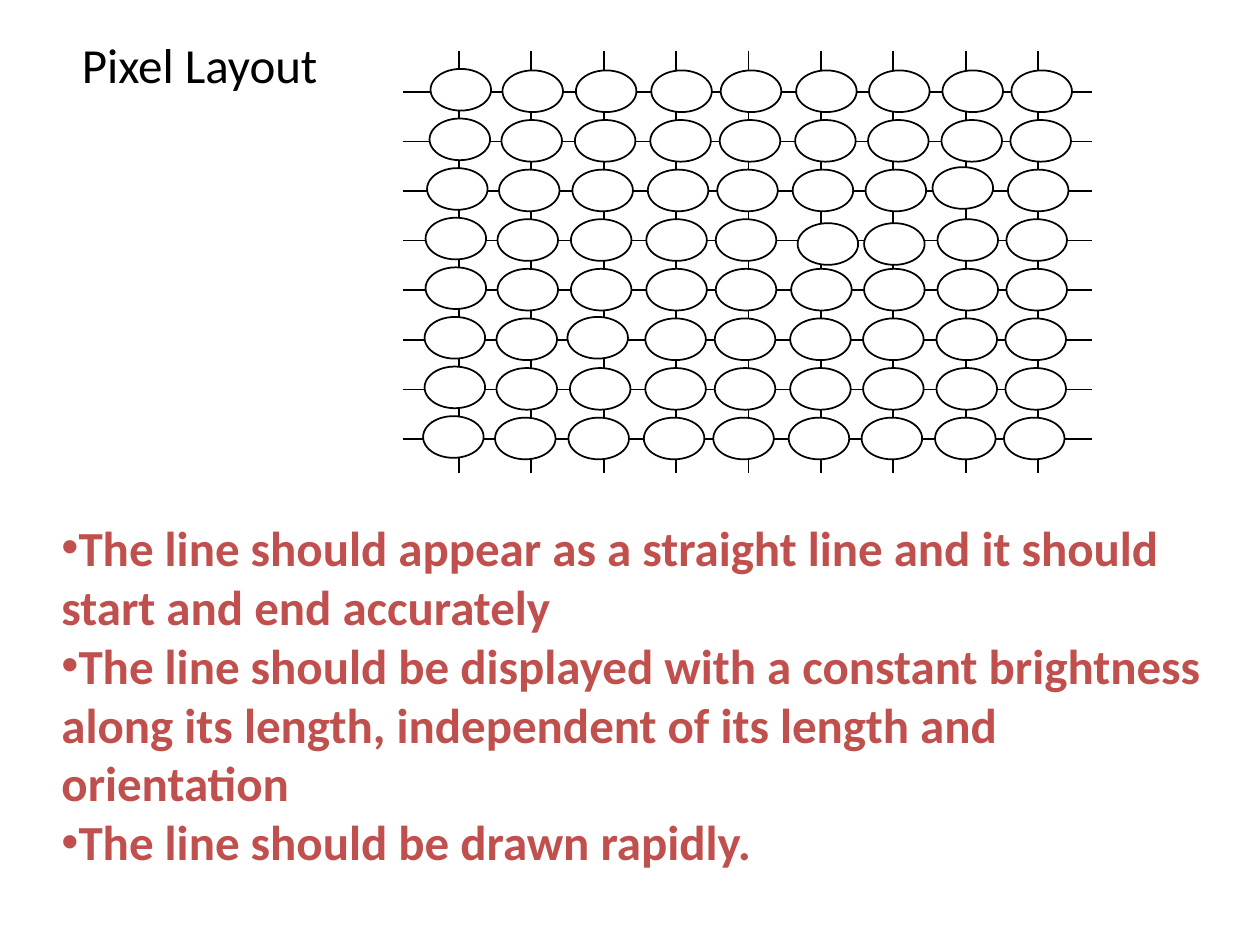
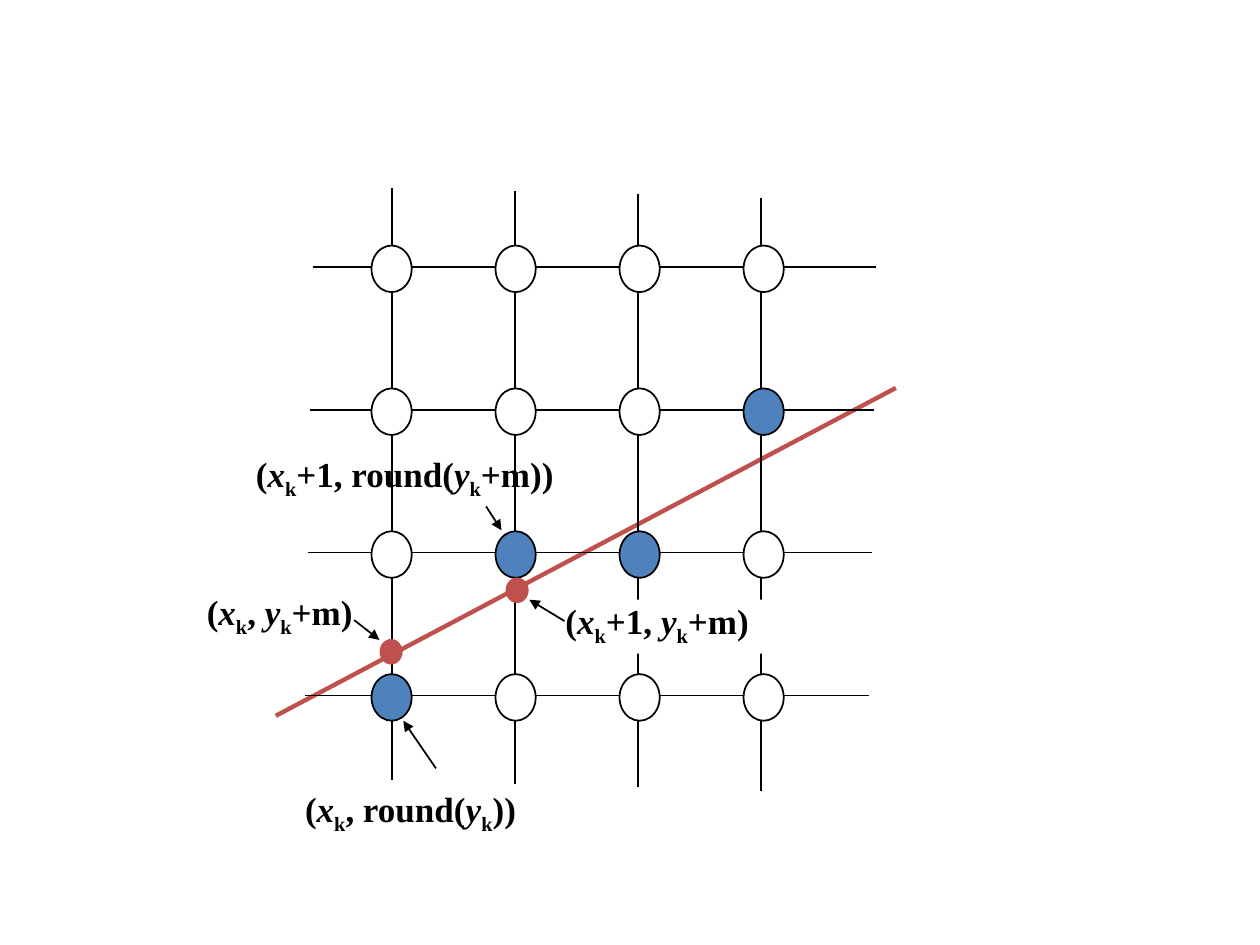
"""Build two slides on pixel grids and line drawing."""
from pptx import Presentation
from pptx.dml.color import RGBColor
from pptx.enum.shapes import MSO_CONNECTOR, MSO_SHAPE
from pptx.oxml.ns import qn
from pptx.util import Cm, Pt
from lxml.etree import SubElement

BLACK = RGBColor(0x00, 0x00, 0x00)
WHITE = RGBColor(0xFF, 0xFF, 0xFF)
RED = RGBColor(0xC0, 0x50, 0x4D)
BLUE = RGBColor(0x4F, 0x81, 0xBD)

HEAD = {"name": "Calibri", "size": Pt(28), "bold": False}
BODY = {"name": "Calibri", "size": Pt(28), "bold": True}
MATH = {"name": "Times New Roman", "size": Pt(20), "bold": True}


def rule(page, ends, hue=BLACK, width=1, arrow=False):
    line = page.shapes.add_connector(MSO_CONNECTOR.STRAIGHT, *map(Cm, ends))
    line.line.color.rgb = hue
    line.line.width = Pt(width)
    if arrow:
        SubElement(line.line._get_or_add_ln(), qn("a:tailEnd"), type="triangle")
    SubElement(line._element.spPr, qn("a:effectLst"))


def write(page, place, paras, form, hue=BLACK, bullet=False):
    box = page.shapes.add_textbox(*map(Cm, place))
    frame = box.text_frame
    frame.word_wrap = True
    if form is MATH:
        box.fill.solid()
        box.fill.fore_color.rgb = WHITE
        for side in ("left", "top", "right", "bottom"):
            setattr(frame, f"margin_{side}", 0)
    for i, para in enumerate(paras):
        item = frame.paragraphs[0] if i == 0 else frame.add_paragraph()
        if bullet:
            props = item._p.get_or_add_pPr()
            props.set("marL", "0")
            props.set("indent", "0")
            SubElement(props, qn("a:buFont"), typeface="Arial")
            SubElement(props, qn("a:buChar"), char="•")
        for j, part in enumerate(para.split("|")):
            run = item.add_run()
            run.text = part
            for key, value in form.items():
                setattr(run.font, key, value)
            run.font.color.rgb = hue
            if j % 3 == 1:
                run.font.italic = True
            if j % 3 == 2:
                run._r.get_or_add_rPr().set("baseline", "-25000")


deck = Presentation()
deck.slide_width, deck.slide_height = Cm(25.4), Cm(19.05)
first, second = [deck.slides.add_slide(deck.slide_layouts[6]) for _ in range(2)]
dots = []

for i in range(9):
    x = 9.25 + 1.46 * i
    rule(first, (x, 1.02, x, 9.53))
for i in range(8):
    y = 1.85 + i
    rule(first, (8.13, y, 22.02, y))

cols = (8.53, 9.98, 11.46, 12.98, 14.38, 15.9, 17.37, 18.85, 20.24)
leans = (0.15, 0.13, 0.08, 0.05, 0.05, 0.03, 0.03, 0)
moves = {(2, 7): (-0.13, -0.05), (3, 5): (0.13, 0.08),
         (3, 6): (0, 0.08), (5, 2): (-0.05, -0.03)}
for row, lean in enumerate(leans):
    for col, x in enumerate(cols):
        right, down = moves.get((row, col), (0, 0 if col else -0.03))
        place = (x + lean + right, 1.42 + row + down, 1.22, 0.84)
        dots.append((first, place, WHITE, BLACK))

write(first, (1.4, 0.58, 5.4, 1.45), ["Pixel Layout"], HEAD)
write(first, (0.99, 10.31, 23.83, 7.44), [
    "The line should appear as a straight line and it should start and end accurately",
    "The line should be displayed with a constant brightness along its length, "
    "independent of its length and orientation",
    "The line should be drawn rapidly.",
], BODY, RED, True)

rule(second, (5.56, 14.43, 18.06, 7.82), RED, 2.5)
write(second, (5.16, 9.12, 6.81, 1.24), ["(|x|k|+1, round(|y|k|+m))"], MATH)
filled = {(1, 3), (2, 1), (2, 2), (3, 0)}
for i in range(4):
    x, top = 7.9 + 2.48 * i, 3.78 + 0.07 * i
    y, left = 5.38 + 2.88 * i, 6.3 - 0.05 * i
    rule(second, (x, top, x, top + 11.95))
    rule(second, (left, y, left + 11.37, y))
    for col in range(4):
        place = (7.49 + 2.5 * col, 4.95 + 2.88 * i, 0.81, 0.94)
        dots.append((second, place, BLUE if (i, col) in filled else WHITE, BLACK))

for x, y in ((7.67, 12.9), (10.21, 11.66)):
    dots.append((second, (x, y, 0.43, 0.48), RED, RED))

for place, text in (
    ((11.4, 12.09, 4.22, 1.09), "(|x|k|+1, |y|k|+m)"),
    ((6.15, 15.88, 4.85, 1.5), "(|x|k|, round(|y|k|))"),
    ((4.17, 11.91, 3.02, 0.86), "(|x|k|, |y|k|+m)"),
):
    write(second, place, [text], MATH)

for page, place, fill, edge in dots:
    dot = page.shapes.add_shape(MSO_SHAPE.OVAL, *map(Cm, place))
    dot.shadow.inherit = False
    dot.fill.solid()
    dot.fill.fore_color.rgb = fill
    dot.line.color.rgb = edge
    dot.line.width = Pt(1)

for ends in ((7.14, 12.5, 7.65, 12.9), (11.38, 12.52, 10.67, 12.09),
             (8.79, 15.49, 8.13, 14.53), (9.8, 10.21, 10.11, 10.69)):
    rule(second, ends, arrow=True)

deck.save("out.pptx")
